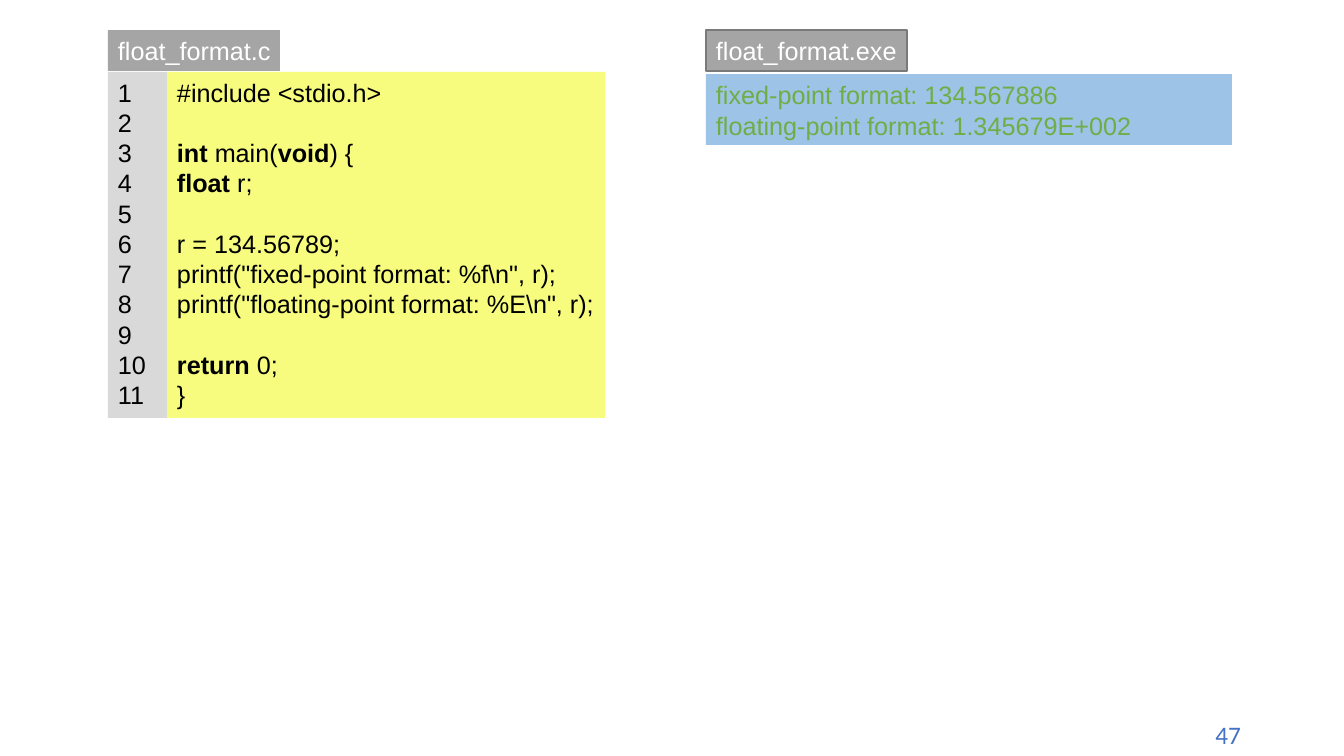
import pptx
import pptx.util
import pptx.dml.color
import pptx.enum.shapes
import pptx.enum.text

PX_PER_INCH = 100.8
TAB_HEIGHT = 41
GUTTER_WIDTH = 59
ALIGN = pptx.enum.text.PP_ALIGN

SOURCE_LINES = [
    [("#include <stdio.h>", False)],
    [],
    [("int ", True), ("main(", False), ("void", True), (") {", False)],
    [("float ", True), ("r;", False)],
    [],
    [("r = 134.56789;", False)],
    [('printf("fixed-point format: %f\\n", r);', False)],
    [('printf("floating-point format: %E\\n", r);', False)],
    [],
    [("return ", True), ("0;", False)],
    [("}", False)],
]
OUTPUT_LINES = [
    [("fixed-point format: 134.567886", False)],
    [("floating-point format: 1.345679E+002", False)],
]


def px(length):
    return pptx.util.Emu(round(length * 914400 / PX_PER_INCH))


def color(value):
    return pptx.dml.color.RGBColor.from_string(value)


def write_lines(frame, lines, ink, font="Arial", spacing=None, align=ALIGN.LEFT):
    frame.margin_left = frame.margin_right = px(10)
    frame.margin_top = frame.margin_bottom = px(5)
    frame.vertical_anchor = pptx.enum.text.MSO_ANCHOR.TOP
    for index, line in enumerate(lines):
        paragraph = frame.add_paragraph() if index else frame.paragraphs[0]
        paragraph.alignment = align
        if spacing:
            paragraph.line_spacing = pptx.util.Pt(spacing)
        paragraph.font.size = pptx.util.Pt(18)
        for words, bold in line:
            run = paragraph.add_run()
            run.text = words
            run.font.name = font
            run.font.size = pptx.util.Pt(18)
            run.font.bold = bold
            run.font.color.rgb = color(ink)


def add_panel(slide, box, fill, lines, ink, spacing=None, border=None, wrap=False):
    panel = slide.shapes.add_shape(
        pptx.enum.shapes.MSO_SHAPE.RECTANGLE, *map(px, box))
    panel.shadow.inherit = False
    panel.fill.solid()
    panel.fill.fore_color.rgb = color(fill)
    if border:
        panel.line.color.rgb = color(border)
        panel.line.width = pptx.util.Pt(1)
    else:
        panel.line.fill.background()
    panel.text_frame.word_wrap = wrap
    write_lines(panel.text_frame, lines, ink, spacing=spacing)


def add_file_tab(slide, left, top, width, name, border=None):
    add_panel(slide, (left, top, width, TAB_HEIGHT), "A5A5A5",
              [[(name, False)]], "FFFFFF", border=border)


def add_source_listing(slide, left, top, width, height):
    add_file_tab(slide, left, top, 172, "float_format.c")
    code_top = top + TAB_HEIGHT + 1
    code_height = height - TAB_HEIGHT - 1
    numbers = [[(str(n), False)] for n in range(1, len(SOURCE_LINES) + 1)]
    add_panel(slide, (left + GUTTER_WIDTH, code_top, width - GUTTER_WIDTH, code_height),
              "F7FC7E", SOURCE_LINES, "000000", spacing=21.6)
    add_panel(slide, (left, code_top, GUTTER_WIDTH, code_height),
              "D9D9D9", numbers, "000000", spacing=21.6, wrap=True)


def add_program_output(slide, left, top, width, height):
    output_top = top + TAB_HEIGHT + 3
    add_panel(slide, (left, output_top, width, height - TAB_HEIGHT - 3),
              "9DC3E6", OUTPUT_LINES, "70AD47", spacing=22)
    add_file_tab(slide, left, top, 201, "float_format.exe", border="7A7A7A")


def add_page_number(slide, left, top, width, height):
    page_number = slide.shapes.add_textbox(*map(px, (left, top, width, height)))
    page_number.text_frame.word_wrap = True
    write_lines(page_number.text_frame, [[("47", False)]], "4472C4",
                font="Calibri", align=ALIGN.RIGHT)


def main():
    deck = pptx.Presentation()
    deck.slide_width = px(1344)
    deck.slide_height = px(756)
    slide = deck.slides.add_slide(deck.slide_layouts[6])
    add_page_number(slide, 1093, 714, 158, 40)
    add_source_listing(slide, 108, 30, 497, 388)
    add_program_output(slide, 706, 30, 526, 115)
    deck.save("out.pptx")


if __name__ == "__main__":
    main()
